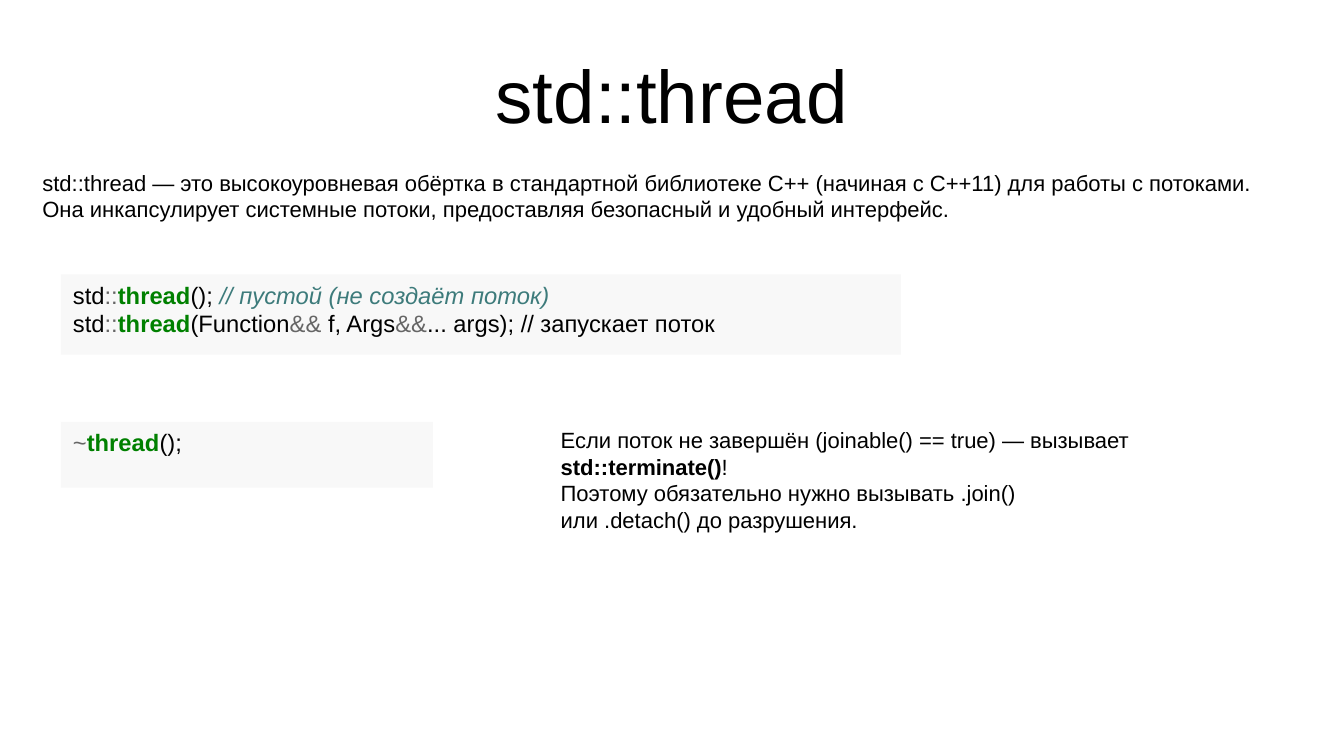
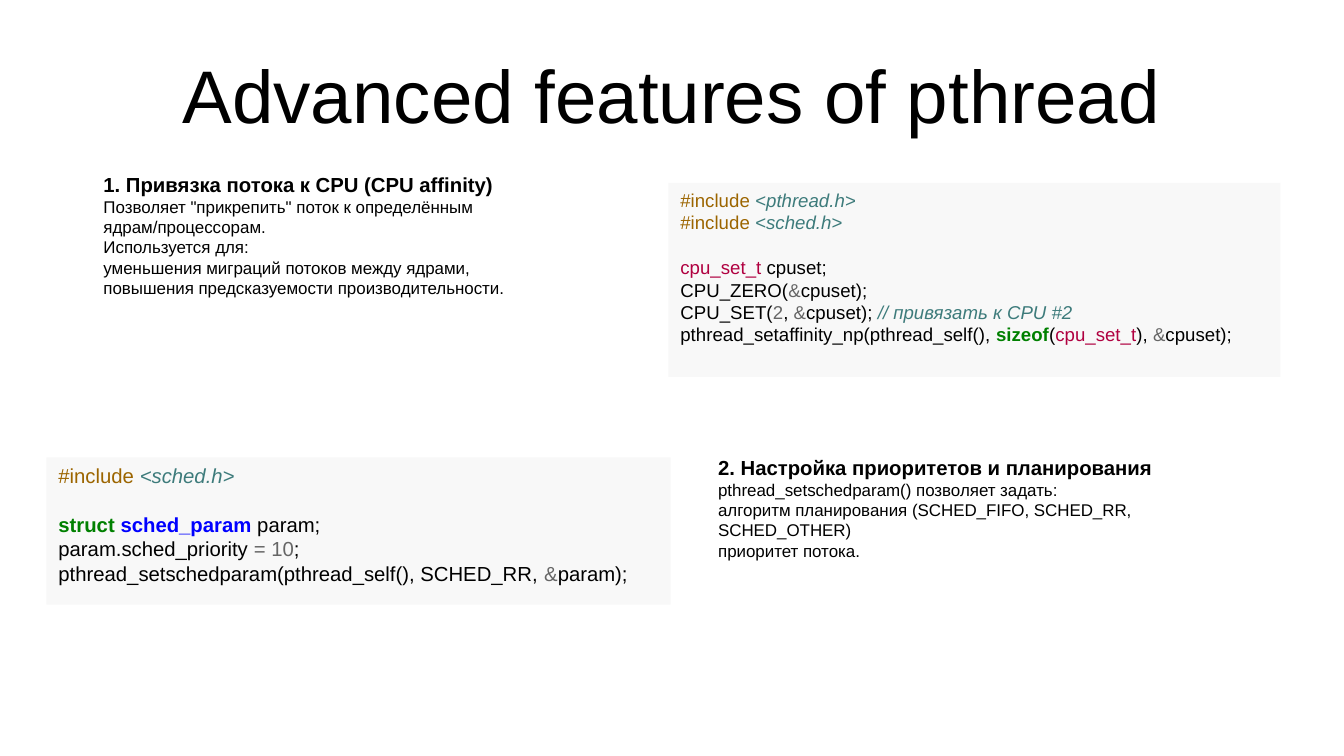
from pptx import Presentation
from pptx.dml.color import RGBColor
from pptx.enum import shapes, text
from pptx.util import Pt

COLORS = {
    "black": "000000",
    "code_fill": "F8F8F8",
    "gray": "666666",
    "green": "008000",
    "teal": "3D7B7B",
    "brown": "9C6500",
    "crimson": "B00040",
    "blue": "0000FF",
}

# Text style: (colour, bold, italic)
STYLES = {
    "plain": ("black", False, False),
    "strong": ("black", True, False),
    "operator": ("gray", False, False),
    "keyword": ("green", True, False),
    "comment": ("teal", False, True),
    "directive": ("brown", False, False),
    "type": ("crimson", False, False),
    "struct": ("blue", True, False),
}


class Deck:
    font = "Arial"
    title_size = 44
    inset_x, inset_y = 7.2, 3.6
    gap_ratio = 1.2

    def __init__(self):
        self.presentation = Presentation()
        self.presentation.slide_width = Pt(793.5)
        self.presentation.slide_height = Pt(446.4)
        self.slide = None

    def add_slide(self, title):
        self.slide = self.presentation.slides.add_slide(self.presentation.slide_layouts[6])
        box = self.slide.shapes.add_textbox(Pt(39.6), Pt(18), Pt(714.2), Pt(74.9))
        self.fill_text(box, [[title]], self.title_size, inset=(0, 0),
                       anchor=text.MSO_ANCHOR.MIDDLE, align=text.PP_ALIGN.CENTER)

    def add_text(self, left, top, width, height, lines, size, heading=None):
        box = self.slide.shapes.add_textbox(Pt(left), Pt(top), Pt(width), Pt(height))
        if heading:
            lines = [[(heading, "strong")]] + lines
        self.fill_text(box, lines, size, first_size=12 if heading else size)

    def add_code(self, left, top, width, height, lines, size, gap_before=None):
        panel = self.slide.shapes.add_shape(
            shapes.MSO_SHAPE.RECTANGLE, Pt(left), Pt(top), Pt(width), Pt(height))
        panel.shadow.inherit = False
        panel.fill.solid()
        panel.fill.fore_color.rgb = RGBColor.from_string(COLORS["code_fill"])
        panel.line.fill.background()
        self.fill_text(panel, lines, size, gap_before=gap_before)

    def fill_text(self, shape, lines, size, first_size=None, gap_before=None,
                  inset=(inset_x, inset_y), anchor=text.MSO_ANCHOR.TOP,
                  align=text.PP_ALIGN.LEFT):
        """Fill a shape; gap_before is the index of the line that follows a one-line gap."""
        frame = shape.text_frame
        frame.word_wrap = True
        frame.vertical_anchor = anchor
        frame.margin_left = frame.margin_right = Pt(inset[0])
        frame.margin_top = frame.margin_bottom = Pt(inset[1])
        for index, line in enumerate(lines):
            paragraph = frame.add_paragraph() if index else frame.paragraphs[0]
            paragraph.alignment = align
            if index == gap_before:
                paragraph.space_before = Pt(size * self.gap_ratio)
            line_size = size if index else first_size or size
            for part in line:
                words, style = (part, "plain") if isinstance(part, str) else part
                self.add_run(paragraph, words, style, line_size)

    def add_run(self, paragraph, words, style, size):
        color, bold, italic = STYLES[style]
        for index, piece in enumerate(words.split("\n")):
            if index:
                paragraph.add_line_break()
            run = paragraph.add_run()
            run.text = piece
            run.font.name = self.font
            run.font.size = Pt(size)
            run.font.bold = bold
            run.font.italic = italic
            run.font.color.rgb = RGBColor.from_string(COLORS[color])


def include(header):
    return [("#include ", "directive"), (f"<{header}>", "comment")]


def build_thread_slide(deck):
    deck.add_slide("std::thread")
    deck.add_text(18, 96.5, 743.8, 36, [
        ["std::thread — это высокоуровневая обёртка в стандартной библиотеке C++ "
         "(начиная с C++11) для работы с потоками. Она инкапсулирует системные потоки, "
         "предоставляя безопасный и удобный интерфейс."],
    ], 13)
    qualified_thread = ["std", ("::", "operator"), ("thread", "keyword")]
    deck.add_code(36, 162, 496, 47.5, [
        qualified_thread + ["(); ", ("// пустой (не создаёт поток)", "comment")],
        qualified_thread + ["(Function", ("&& ", "operator"), "f, Args", ("&&", "operator"),
                            "... args); // запускает поток"],
    ], 14)
    deck.add_code(36, 249.1, 219.6, 38.9, [
        [("~", "operator"), ("thread", "keyword"), "();"],
    ], 14)
    deck.add_text(324, 248.4, 357.8, 129.6, [
        ["Если поток не завершён (joinable() == true) — вызывает ",
         ("std::terminate()", "strong"), "!"],
        ["Поэтому обязательно нужно вызывать .join()\nили .detach() до разрушения."],
    ], 13)


def build_pthread_slide(deck):
    ampersand = ("&", "operator")
    deck.add_slide("Advanced features of pthread")
    deck.add_text(54, 97.9, 330.5, 136.1, [
        ['Позволяет "прикрепить" поток к определённым ядрам/процессорам.'],
        ["Используется для:"],
        ["уменьшения миграций потоков между ядрами,"],
        ["повышения предсказуемости производительности."],
    ], 10, heading="1. Привязка потока к CPU (CPU affinity)")
    deck.add_code(394.6, 108, 361.4, 114.5, [
        include("pthread.h"),
        include("sched.h"),
        [("cpu_set_t ", "type"), "cpuset;"],
        ["CPU_ZERO(", ampersand, "cpuset);"],
        ["CPU_SET(", ("2", "operator"), ", ", ampersand, "cpuset); ",
         ("// привязать к CPU #2", "comment")],
        ["pthread_setaffinity_np(pthread_self(), ", ("sizeof", "keyword"), "(",
         ("cpu_set_t", "type"), "), ", ampersand, "cpuset);"],
    ], 11, gap_before=2)
    deck.add_text(416.9, 265, 339.1, 121.7, [
        ["pthread_setschedparam() позволяет задать:"],
        ["алгоритм планирования (SCHED_FIFO, SCHED_RR, SCHED_OTHER)"],
        ["приоритет потока."],
    ], 10, heading="2. Настройка приоритетов и планирования")
    deck.add_code(27.4, 270, 368.6, 87.1, [
        include("sched.h"),
        [("struct ", "keyword"), ("sched_param ", "struct"), "param;"],
        ["param.sched_priority ", ("= 10", "operator"), ";"],
        ["pthread_setschedparam(pthread_self(), SCHED_RR, ", ampersand, "param);"],
    ], 12, gap_before=1)


def main():
    deck = Deck()
    build_thread_slide(deck)
    build_pthread_slide(deck)
    deck.presentation.save("out.pptx")


if __name__ == "__main__":
    main()
